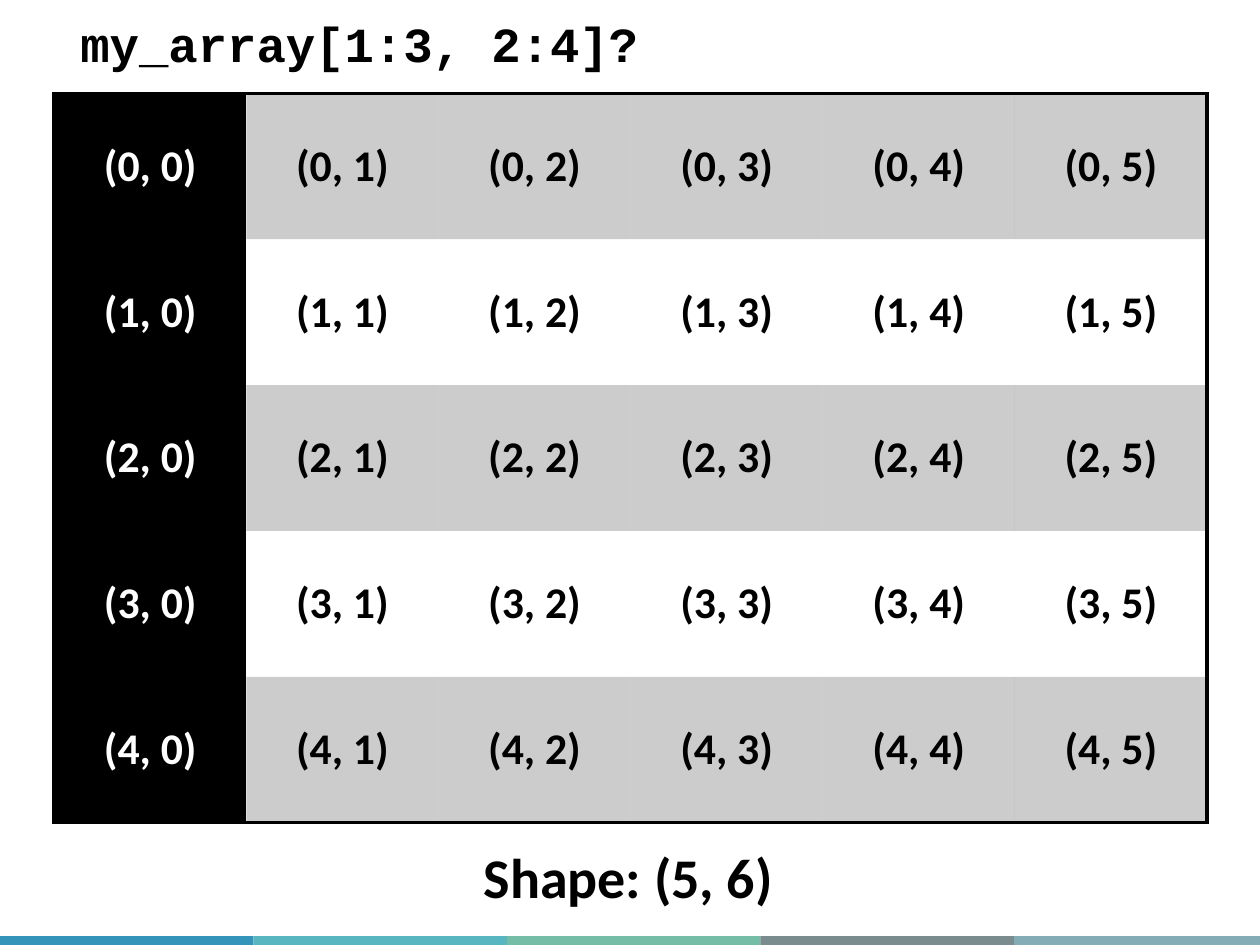
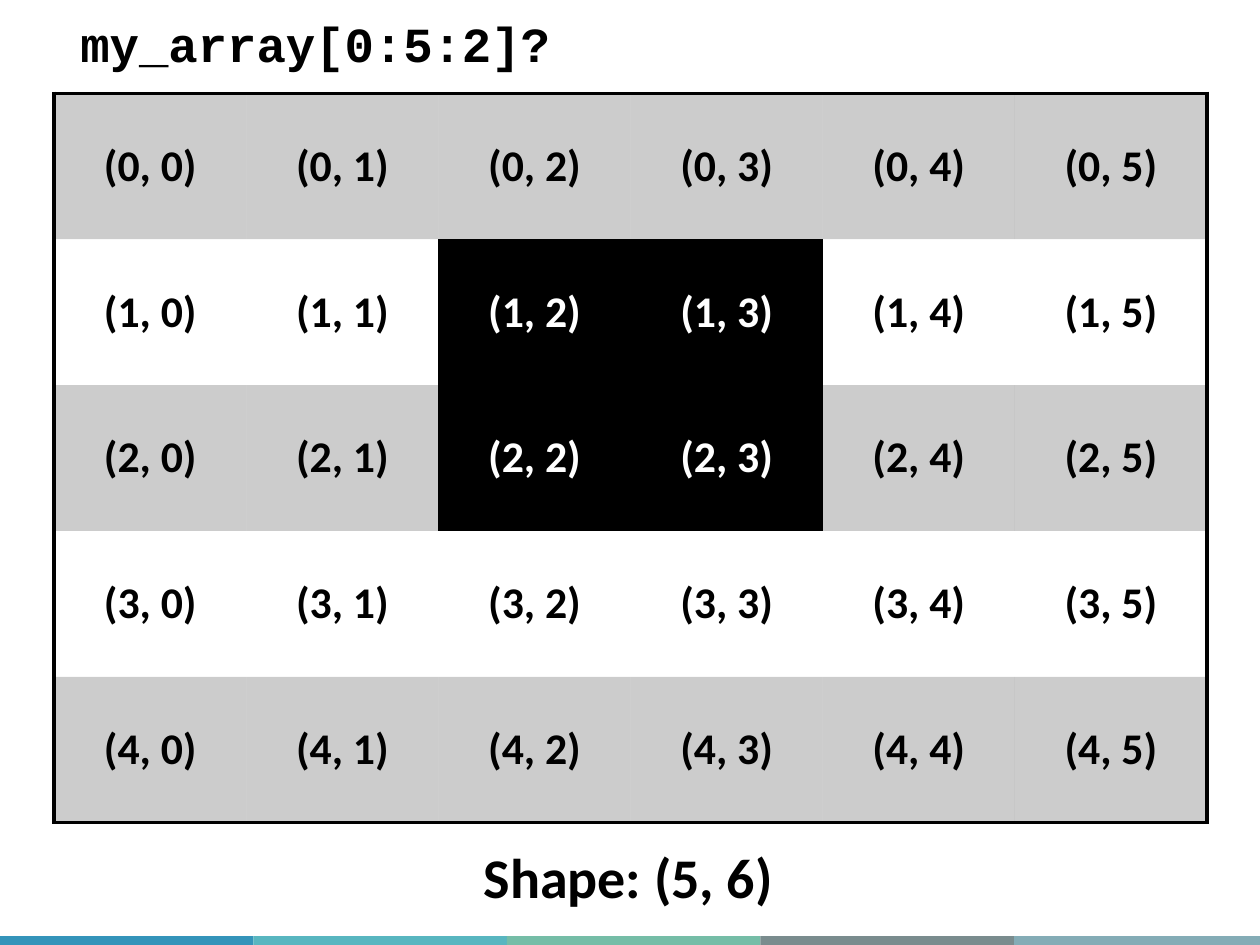
from dataclasses import dataclass
from typing import Any

from pptx import Presentation
from pptx import util as u
from pptx.dml.color import RGBColor
from pptx.enum import shapes, text
from pptx.oxml.ns import qn
from lxml import etree

SLIDE_WIDTH, SLIDE_HEIGHT = 10, 7.5
BLACK, WHITE = "000000", "FFFFFF"
BAND_COLOURS = ["3494BA", "58B6C0", "75BDA7", "7A8C8E", "84ACB6"]
BANDS_SPAN, BAND_TOP, BAND_HEIGHT = 10.06, 7.43, 0.1
BAND_WIDTH = BANDS_SPAN / len(BAND_COLOURS)

ROWS, COLUMNS = 5, 6
GRID_LEFT, GRID_TOP, GRID_WIDTH, GRID_HEIGHT = 0.43, 0.74, 9.15, 5.79
STRIPE_ALPHA = 20
BORDER_POINTS = 2.25
NO_STYLE_NO_GRID = "{2D5ABB26-0587-4C30-8999-92F81FD0307C}"
CELL_FORMAT = {
    "margin_left": u.Inches(0.14),
    "margin_right": u.Inches(0.14),
    "margin_top": u.Inches(0.07),
    "margin_bottom": u.Inches(0.07),
    "vertical_anchor": text.MSO_ANCHOR.MIDDLE,
}


@dataclass(frozen=True)
class Label:
    text: str
    left: float
    top: float
    width: float
    height: float
    font: str
    size: float


@dataclass(frozen=True)
class ArraySlide:
    """A question about an array, with the block of cells to highlight."""
    question: str
    question_width: float
    rows: slice
    columns: slice


SHAPE_LABEL = Label(f"Shape: ({ROWS}, {COLUMNS})", 3.74, 6.64, 2.52, 0.64, "Calibri", 32)
ARRAY_SLIDES = [
    ArraySlide("my_array[1:3, 2:4]?", 4.67, slice(0, ROWS), slice(0, 1)),
    ArraySlide("my_array[0:5:2]?", 3.96, slice(1, 3), slice(2, 4)),
]


def colour(hex_value: str) -> RGBColor:
    return RGBColor.from_string(hex_value)


def apply_format(target: Any, values: dict[str, Any]) -> None:
    for name, value in values.items():
        setattr(target, name, value)


def write_run(paragraph: Any, content: str, font: str, size: float, hex_value: str) -> None:
    run = paragraph.add_run()
    run.text = content
    apply_format(run.font, {"name": font, "size": u.Pt(size), "bold": True})
    run.font.color.rgb = colour(hex_value)


def add_bands(slide: Any) -> None:
    for index, hex_value in enumerate(BAND_COLOURS):
        band = slide.shapes.add_shape(
            shapes.MSO_SHAPE.RECTANGLE,
            u.Inches(index * BAND_WIDTH), u.Inches(BAND_TOP),
            u.Inches(BAND_WIDTH), u.Inches(BAND_HEIGHT))
        band.shadow.inherit = False
        band.fill.solid()
        band.fill.fore_color.rgb = colour(hex_value)
        band.line.fill.background()


def add_label(slide: Any, label: Label) -> None:
    box = slide.shapes.add_textbox(
        *map(u.Inches, (label.left, label.top, label.width, label.height)))
    apply_format(box.text_frame, {
        "word_wrap": False, "auto_size": text.MSO_AUTO_SIZE.SHAPE_TO_FIT_TEXT})
    write_run(box.text_frame.paragraphs[0], label.text, label.font, label.size, BLACK)


def fill_cell(cell: Any, highlighted: bool, striped: bool) -> None:
    if not (highlighted or striped):
        cell.fill.background()
        return
    cell.fill.solid()
    cell.fill.fore_color.rgb = colour(BLACK)
    if not highlighted:
        for element in cell._tc.get_or_add_tcPr().iter(qn("a:srgbClr")):
            etree.SubElement(element, qn("a:alpha"), val=str(STRIPE_ALPHA * 1000))


def add_outer_borders(cell: Any, row: int, column: int) -> None:
    """Draw only the sides of the cell that lie on the edge of the table."""
    on_edge = {
        "a:lnL": column == 0,
        "a:lnR": column == COLUMNS - 1,
        "a:lnT": row == 0,
        "a:lnB": row == ROWS - 1,
    }
    properties = cell._tc.get_or_add_tcPr()
    for position, tag in enumerate(tag for tag, drawn in on_edge.items() if drawn):
        line = etree.Element(qn(tag), w=str(u.Pt(BORDER_POINTS)))
        fill = etree.SubElement(line, qn("a:solidFill"))
        etree.SubElement(fill, qn("a:srgbClr"), val=BLACK)
        properties.insert(position, line)


def add_array_table(slide: Any, content: ArraySlide) -> None:
    frame = slide.shapes.add_table(
        ROWS, COLUMNS,
        *map(u.Inches, (GRID_LEFT, GRID_TOP, GRID_WIDTH, GRID_HEIGHT)))
    for style in frame._element.iter(qn("a:tableStyleId")):
        style.text = NO_STYLE_NO_GRID
    table = frame.table
    apply_format(table, {"first_row": False, "horz_banding": False})
    highlighted_rows = range(ROWS)[content.rows]
    highlighted_columns = range(COLUMNS)[content.columns]
    for row in range(ROWS):
        for column in range(COLUMNS):
            cell = table.cell(row, column)
            highlighted = row in highlighted_rows and column in highlighted_columns
            apply_format(cell, CELL_FORMAT)
            paragraph = cell.text_frame.paragraphs[0]
            paragraph.alignment = text.PP_ALIGN.CENTER
            write_run(paragraph, f"({row}, {column})", "Calibri", 25,
                      WHITE if highlighted else BLACK)
            fill_cell(cell, highlighted, striped=row % 2 == 0)
            add_outer_borders(cell, row, column)


def main() -> None:
    presentation = Presentation()
    presentation.slide_width = u.Inches(SLIDE_WIDTH)
    presentation.slide_height = u.Inches(SLIDE_HEIGHT)
    blank_layout = presentation.slide_layouts[6]
    for content in ARRAY_SLIDES:
        slide = presentation.slides.add_slide(blank_layout)
        add_bands(slide)
        add_array_table(slide, content)
        add_label(slide, SHAPE_LABEL)
        add_label(slide, Label(content.question, 0.54, 0.06, content.question_width,
                               0.57, "Courier New", 28))
    presentation.save("out.pptx")


if __name__ == "__main__":
    main()
